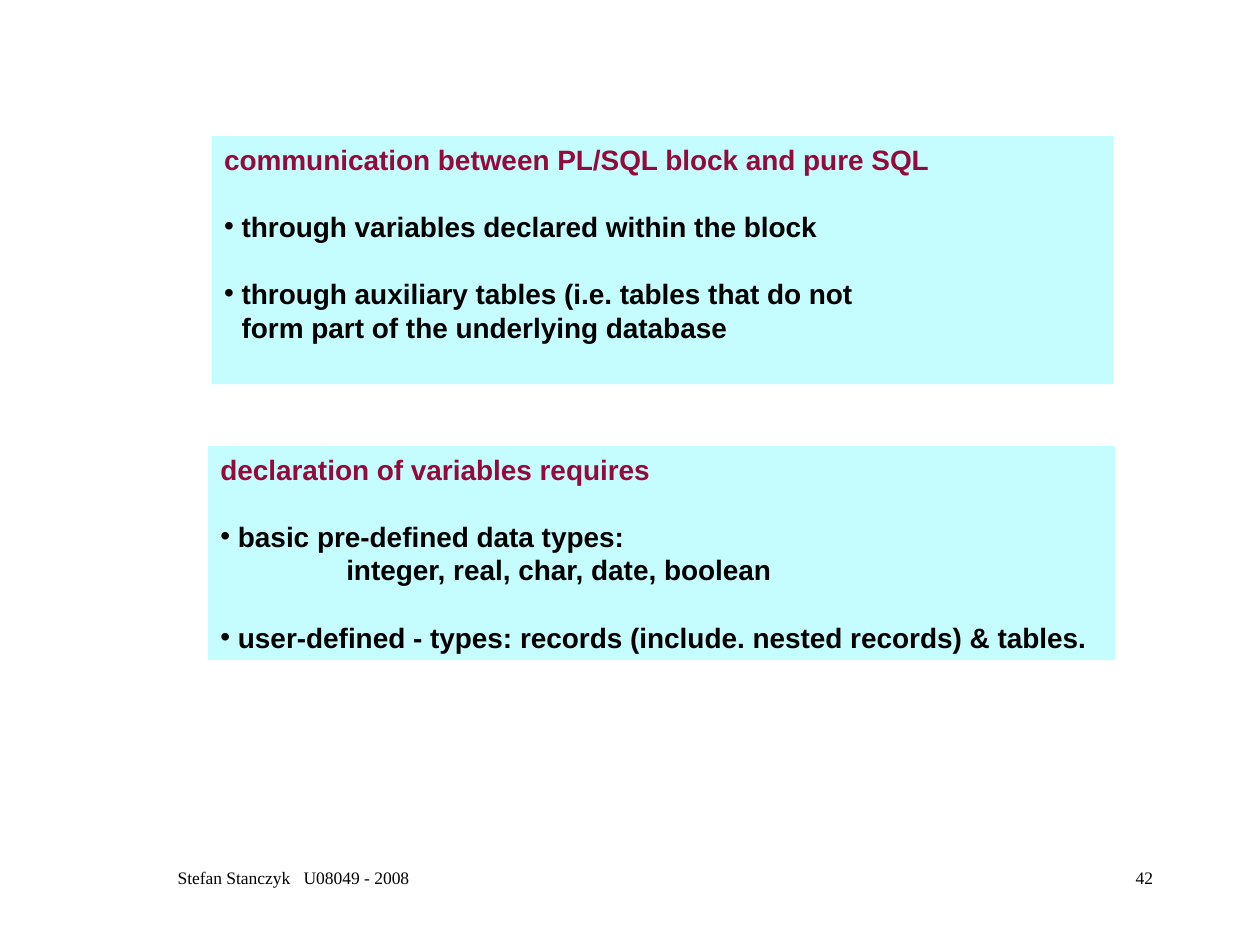
from lxml.etree import SubElement
from pptx import Presentation
from pptx.dml.color import RGBColor
from pptx.enum.shapes import MSO_SHAPE
from pptx.enum.text import MSO_ANCHOR, PP_ALIGN
from pptx.oxml.ns import qn
from pptx.util import Inches, Pt

PALE_CYAN = RGBColor(0xC5, 0xFD, 0xFF)
CRIMSON = RGBColor(0x94, 0x0B, 0x3B)
BLACK = RGBColor(0, 0, 0)
LINE_HEIGHT = Pt(19.2)


def write(paragraph, text, font="Arial", size=16, color=BLACK, bold=True,
          align=PP_ALIGN.LEFT, spacing=LINE_HEIGHT, before=0, indent=0,
          bullet=False, tab=None):
    paragraph.text = text
    paragraph.alignment = align
    paragraph.line_spacing = spacing
    paragraph.space_before = before
    properties = paragraph._p.get_or_add_pPr()
    properties.set("marL", str(Inches(indent)))
    properties.set("indent", str(-Inches(indent) if bullet else 0))
    if bullet:
        SubElement(properties, qn("a:buFont"), typeface="Arial")
        SubElement(properties, qn("a:buChar"), char="•")
    else:
        SubElement(properties, qn("a:buNone"))
    if tab:
        stops = SubElement(properties, qn("a:tabLst"))
        SubElement(stops, qn("a:tab"), pos=str(Inches(tab)), algn="l")
    paragraph.font.name = font
    paragraph.font.size = Pt(size)
    paragraph.font.bold = bold
    paragraph.font.color.rgb = color


presentation = Presentation()
presentation.slide_width = Inches(10)
presentation.slide_height = Inches(7.5)
slide = presentation.slides.add_slide(presentation.slide_layouts[6])

heading = {"color": CRIMSON}
point = {"bullet": True, "indent": 0.14, "before": LINE_HEIGHT}
detail = {"indent": 1}

panels = [
    ((1.68, 1.08, 7.16, 1.97), [
        ("communication between PL/SQL block and pure SQL", heading),
        ("through variables declared within the block", point),
        ("through auxiliary tables (i.e. tables that do not\v"
         "form part of the underlying database", point),
    ]),
    ((1.65, 3.54, 7.2, 1.7), [
        ("declaration of variables requires", heading),
        ("basic pre-defined data types:", point),
        ("integer, real, char, date, boolean", detail),
        ("user-defined - types: records (include. nested records) & tables.", point),
    ]),
]

for bounds, lines in panels:
    panel = slide.shapes.add_shape(MSO_SHAPE.RECTANGLE, *map(Inches, bounds))
    panel.shadow.inherit = False
    panel.fill.solid()
    panel.fill.fore_color.rgb = PALE_CYAN
    panel.line.fill.background()
    body = panel.text_frame
    body.word_wrap = True
    body.vertical_anchor = MSO_ANCHOR.TOP
    for number, (text, style) in enumerate(lines):
        write(body.add_paragraph() if number else body.paragraphs[0], text, **style)

footers = [
    ((0.75, 6.83, 3.17, 0.5), 0.66, "Stefan Stanczyk\tU08049 - 2008",
     {"tab": 1}),
    ((7.17, 6.83, 2.08, 0.5), 0.1, "42", {"align": PP_ALIGN.RIGHT}),
]

for bounds, inset, text, style in footers:
    footer = slide.shapes.add_textbox(*map(Inches, bounds)).text_frame
    footer.word_wrap = True
    footer.margin_left = Inches(inset)
    write(footer.paragraphs[0], text, font="Times New Roman", size=10,
          bold=False, spacing=1.0, **style)

presentation.save("out.pptx")
